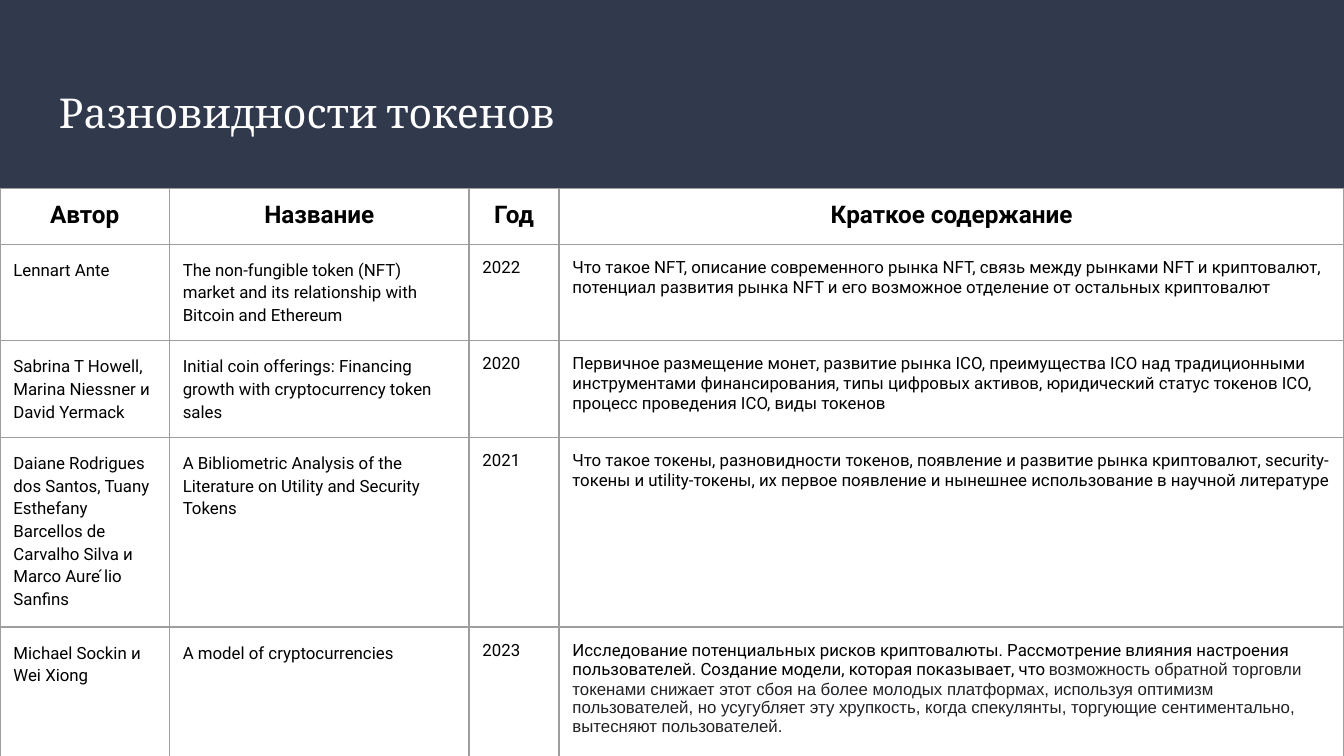
import pptx
import pptx.dml.color
import pptx.enum.shapes
import pptx.enum.text
import pptx.oxml
import pptx.oxml.ns
import pptx.util
from dataclasses import dataclass

Inches = pptx.util.Inches
Pt = pptx.util.Pt


@dataclass(frozen=True)
class Theme:
    band: str = "31394D"
    paper: str = "FFFFFF"
    ink: str = "000000"
    quote_ink: str = "202124"
    border: str = "9E9E9E"
    title_font: str = "Cambria"
    body_font: str = "Roboto"
    quote_font: str = "Arial"
    title_size: float = 22
    header_size: float = 13
    body_size: float = 9
    border_width: float = 0.75


THEME = Theme()
INSET = Inches(0.1)
SLIDE_WIDTH = Inches(10)
SLIDE_HEIGHT = SLIDE_WIDTH * 9 // 16
BAND_HEIGHT = Inches(1.4)
TABLE_HEIGHT = Inches(4.32)
COLUMN_WIDTHS = [1.26, 2.23, 0.67, 5.84]
ROW_HEIGHTS = [0.4, 0.68, 0.68, 1.35, 1.07]

# Character formats
TITLE = {"name": THEME.title_font, "size": Pt(THEME.title_size), "bold": False, "color": THEME.paper}
HEADER = {"name": THEME.body_font, "size": Pt(THEME.header_size), "bold": True, "color": THEME.ink}
BODY = {**HEADER, "size": Pt(THEME.body_size), "bold": False}
QUOTE = {**BODY, "name": THEME.quote_font, "color": THEME.quote_ink}

# Paragraph formats
CENTERED = {"alignment": pptx.enum.text.PP_ALIGN.CENTER}
SPACED = {"line_spacing": 1.15, "space_before": Pt(12)}
PLAIN = {}
COLUMN_FORMATS = [SPACED, SPACED, PLAIN, PLAIN]

HEADINGS = ["Автор", "Название", "Год", "Краткое содержание"]
SOURCES = [
    [
        "Lennart Ante",
        "The non-fungible token (NFT) market and its relationship with Bitcoin and Ethereum",
        "2022",
        "Что такое NFT, описание современного рынка NFT, связь между рынками NFT и криптовалют, "
        "потенциал развития рынка NFT и его возможное отделение от остальных криптовалют",
    ],
    [
        "Sabrina T Howell, Marina Niessner и David Yermack",
        "Initial coin offerings: Financing growth with cryptocurrency token sales",
        "2020",
        "Первичное размещение монет, развитие рынка ICO, преимущества ICO над традиционными "
        "инструментами финансирования, типы цифровых активов, юридический статус токенов ICO, "
        "процесс проведения ICO, виды токенов",
    ],
    [
        "Daiane Rodrigues dos Santos, Tuany Esthefany Barcellos de Carvalho Silva и "
        "Marco Aure ́lio Sanfins",
        "A Bibliometric Analysis of the Literature on Utility and Security Tokens",
        "2021",
        "Что такое токены, разновидности токенов, появление и развитие рынка криптовалют, "
        "security-токены и utility-токены, их первое появление и нынешнее использование "
        "в научной литературе",
    ],
    [
        "Michael Sockin и Wei Xiong",
        "A model of cryptocurrencies",
        "2023",
        "Исследование потенциальных рисков криптовалюты. Рассмотрение влияния настроения "
        "пользователей. Создание модели, которая показывает, что ",
    ],
]
LAST_SUMMARY_QUOTE = (
    "возможность обратной торговли токенами снижает этот сбоя на более молодых платформах, "
    "используя оптимизм пользователей, но усугубляет эту хрупкость, когда спекулянты, "
    "торгующие сентиментально, вытесняют пользователей."
)


def rgb(value):
    return pptx.dml.color.RGBColor.from_string(value)


def set_attributes(target, values):
    for name, value in values.items():
        setattr(target, name, value)


def add_run(paragraph, text, character_format):
    run = paragraph.add_run()
    run.text = text
    for name, value in character_format.items():
        if name == "color":
            run.font.color.rgb = rgb(value)
        else:
            setattr(run.font, name, value)


def add_band(slide):
    shape = slide.shapes.add_shape(
        pptx.enum.shapes.MSO_SHAPE.RECTANGLE, 0, 0, SLIDE_WIDTH, BAND_HEIGHT)
    shape.shadow.inherit = False
    shape.fill.solid()
    shape.fill.fore_color.rgb = rgb(THEME.band)
    shape.line.fill.background()


def add_title(slide, text):
    shape = slide.shapes.add_textbox(Inches(0.34), Inches(0.55), Inches(9.32), Inches(0.68))
    frame = shape.text_frame
    set_attributes(frame, {
        "word_wrap": True,
        "margin_left": INSET, "margin_right": INSET,
        "margin_top": INSET, "margin_bottom": INSET,
        "vertical_anchor": pptx.enum.text.MSO_ANCHOR.TOP,
    })
    add_run(frame.paragraphs[0], text, TITLE)


def add_borders(cell):
    properties = cell._tc.get_or_add_tcPr()
    namespace = pptx.oxml.ns.nsdecls("a")
    for position, side in enumerate(["lnL", "lnR", "lnT", "lnB"]):
        properties.insert(position, pptx.oxml.parse_xml(
            f'<a:{side} {namespace} w="{Pt(THEME.border_width)}"><a:solidFill>'
            f'<a:srgbClr val="{THEME.border}"/></a:solidFill></a:{side}>'))


def fill_cell(cell, text, character_format, paragraph_format):
    set_attributes(cell, {
        "margin_left": INSET, "margin_right": INSET,
        "margin_top": INSET, "margin_bottom": INSET,
    })
    cell.fill.solid()
    cell.fill.fore_color.rgb = rgb(THEME.paper)
    add_borders(cell)
    paragraph = cell.text_frame.paragraphs[0]
    set_attributes(paragraph, paragraph_format)
    add_run(paragraph, text, character_format)


def add_source_table(slide):
    graphic_frame = slide.shapes.add_table(
        len(ROW_HEIGHTS), len(COLUMN_WIDTHS), 0, BAND_HEIGHT, SLIDE_WIDTH, TABLE_HEIGHT)
    table = graphic_frame.table
    set_attributes(table, {"first_row": False, "horz_banding": False})
    for column, column_width in zip(table.columns, COLUMN_WIDTHS):
        column.width = Inches(column_width)
    for row, height in zip(table.rows, ROW_HEIGHTS):
        row.height = Inches(height)
    # Row heights are minimums; the frame leaves room for the text to grow
    graphic_frame.height = TABLE_HEIGHT

    # Header row, then one row per publication
    for cell, heading in zip(table.rows[0].cells, HEADINGS):
        fill_cell(cell, heading, HEADER, CENTERED)
    for row_index, source in enumerate(SOURCES, start=1):
        for column_index, text in enumerate(source):
            fill_cell(table.cell(row_index, column_index), text, BODY, COLUMN_FORMATS[column_index])
    table.cell(1, 0).text_frame.paragraphs[0].space_after = Pt(12)

    # The last summary ends in a second typeface
    last_cell = table.cell(len(SOURCES), len(HEADINGS) - 1)
    add_run(last_cell.text_frame.paragraphs[0], LAST_SUMMARY_QUOTE, QUOTE)


def main():
    presentation = pptx.Presentation()
    set_attributes(presentation, {"slide_width": SLIDE_WIDTH, "slide_height": SLIDE_HEIGHT})
    slide = presentation.slides.add_slide(presentation.slide_layouts[6])
    add_band(slide)
    add_title(slide, "Разновидности токенов")
    add_source_table(slide)
    presentation.save("out.pptx")


if __name__ == "__main__":
    main()
